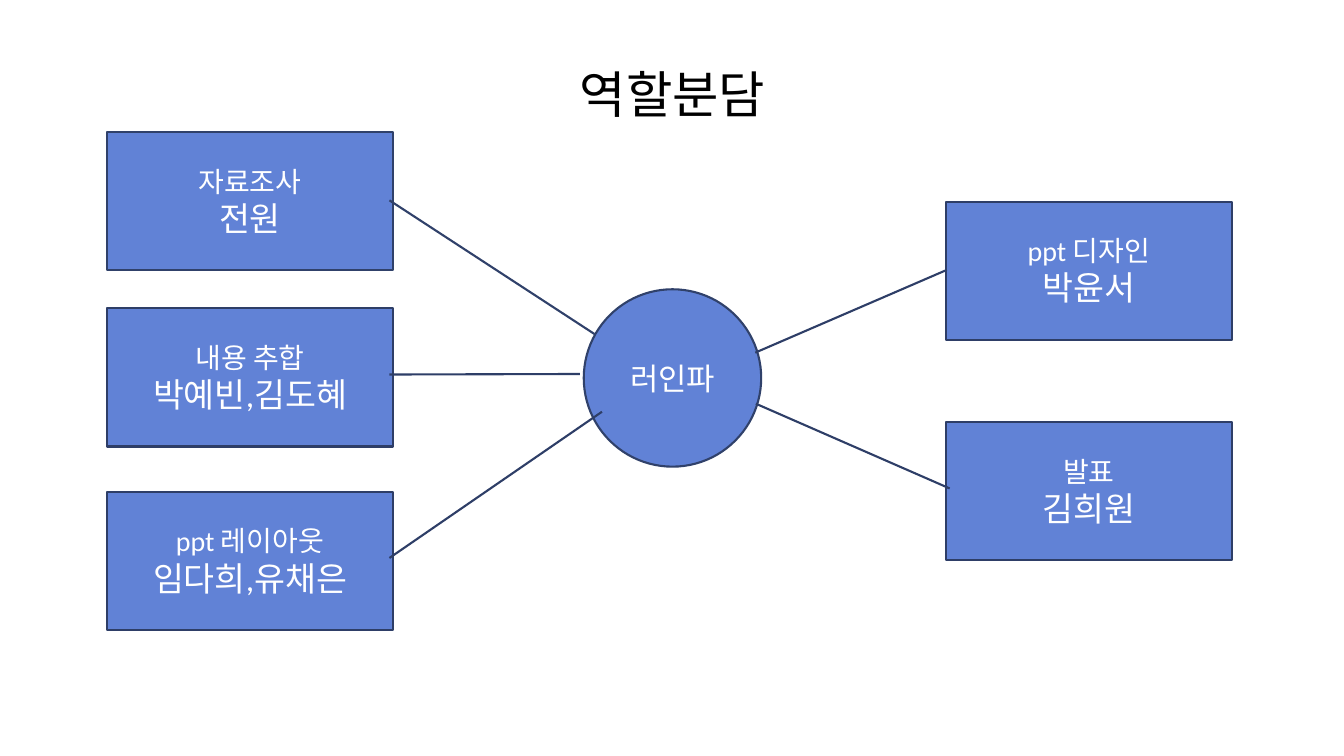
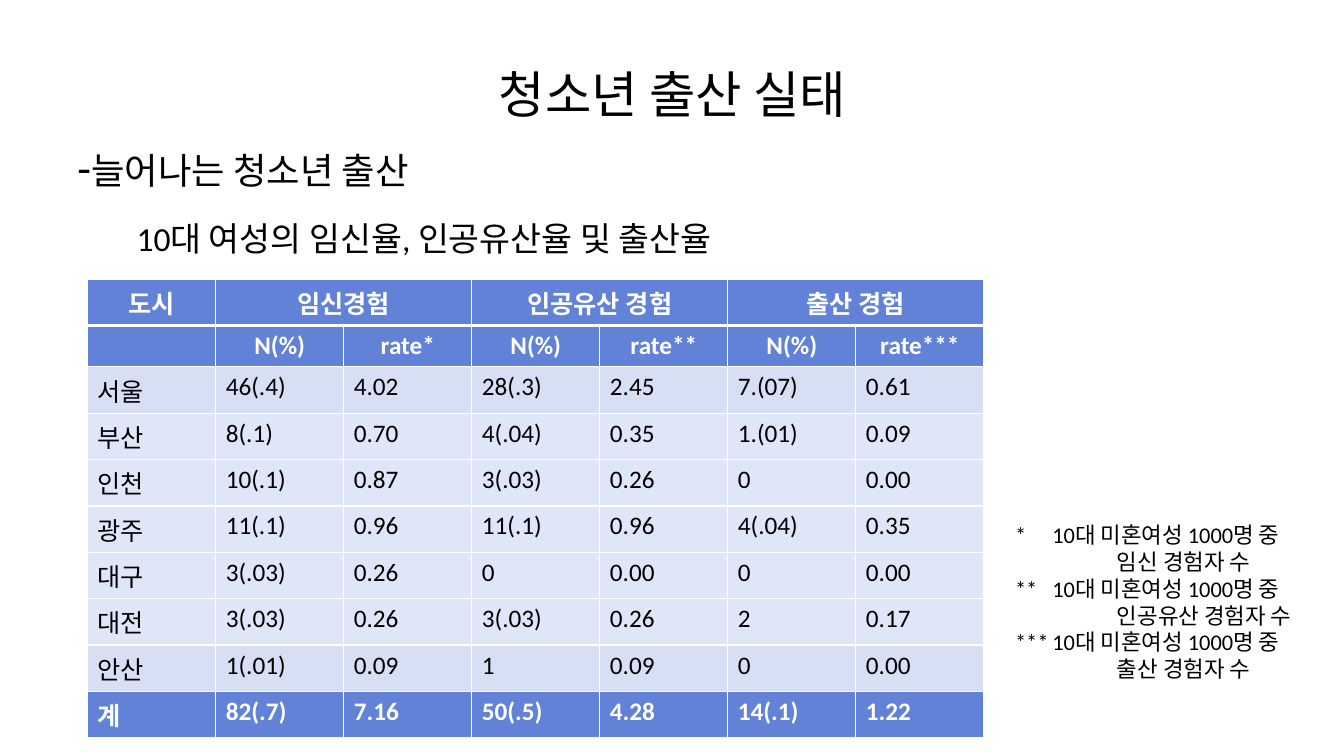
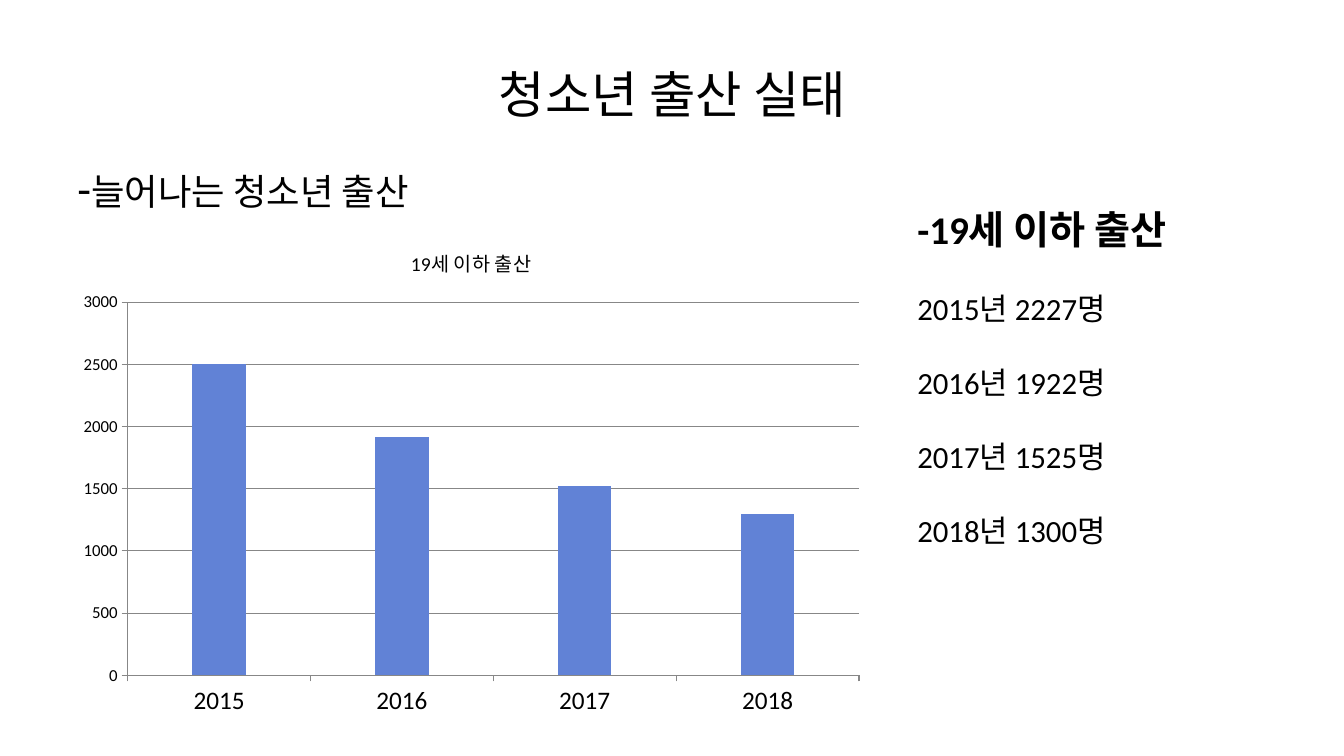
from lxml import etree
from pptx import Presentation
from pptx.chart.data import CategoryChartData
from pptx.dml.color import RGBColor
from pptx.enum.chart import XL_CHART_TYPE, XL_TICK_MARK
from pptx.enum.shapes import MSO_SHAPE
from pptx.enum.text import MSO_ANCHOR, PP_ALIGN
from pptx.oxml.ns import qn
from pptx.util import Inches, Pt

LEFT, CENTER = PP_ALIGN.LEFT, PP_ALIGN.CENTER
TOP, MIDDLE = MSO_ANCHOR.TOP, MSO_ANCHOR.MIDDLE
CALLOUT, CIRCLE = MSO_SHAPE.LINE_CALLOUT_1, MSO_SHAPE.OVAL
COLUMNS = XL_CHART_TYPE.COLUMN_CLUSTERED
OUTSIDE = XL_TICK_MARK.OUTSIDE

FONT = "Calibri"
COLORS = {
    "text": "000000", "white": "FFFFFF", "blue": "6182D6", "circle_line": "30416A",
    "box_line": "2E3E67", "band": "D7DFF4", "plain": "DFE6F7", "grid": "878787",
}

ROLES_TITLE = "역할분담"
BIRTHS_TITLE = "청소년 출산 실태"
SUBHEAD = [("-", 32), ("늘어나는 청소년 출산", 26)]

TEAM = "러인파"
BOX_SIZE = (2.84, 1.37)
LEFT_X, RIGHT_X = 1.06, 9.38
ROLES = [
    ("자료조사", "전원", LEFT_X, 1.31, "circle_line", (0.495, 0.987, 1.463, 1.703)),
    ("내용 추합", "박예빈,김도혜", LEFT_X, 3.06, "box_line", (0.479, 0.987, 0.475, 1.652)),
    ("ppt 레이아웃", "임다희,유채은", LEFT_X, 4.88, "box_line", (0.479, 0.987, -0.58, 1.729)),
    ("ppt 디자인", "박윤서", RIGHT_X, 2, "box_line", (0.495, 0.004, 1.094, -0.665)),
    ("발표", "김희원", RIGHT_X, 4.19, "box_line", (0.479, 0.014, -0.135, -0.663)),
]

TABLE_CAPTION = "10대 여성의 임신율, 인공유산율 및 출산율"
CITY_ROWS = [
    ("도시", "임신경험", "", "인공유산 경험", "", "출산 경험", ""),
    ("", "N(%)", "rate*", "N(%)", "rate**", "N(%)", "rate***"),
    ("서울", "46(.4)", "4.02", "28(.3)", "2.45", "7.(07)", "0.61"),
    ("부산", "8(.1)", "0.70", "4(.04)", "0.35", "1.(01)", "0.09"),
    ("인천", "10(.1)", "0.87", "3(.03)", "0.26", "0", "0.00"),
    ("광주", "11(.1)", "0.96", "11(.1)", "0.96", "4(.04)", "0.35"),
    ("대구", "3(.03)", "0.26", "0", "0.00", "0", "0.00"),
    ("대전", "3(.03)", "0.26", "3(.03)", "0.26", "2", "0.17"),
    ("안산", "1(.01)", "0.09", "1", "0.09", "0", "0.00"),
    ("계", "82(.7)", "7.16", "50(.5)", "4.28", "14(.1)", "1.22"),
]
BANDED_CITIES = ("서울", "안산")
RATE_GROUP = "10대 미혼여성 1000명 중"
RATE_NOTES = [("*", "임신 경험자 수"), ("**", "인공유산 경험자 수"), ("***", "출산 경험자 수")]

CHART_TITLE = "19세 이하 출산"
CHART_VALUES = {"2015": 2500, "2016": 1920, "2017": 1520, "2018": 1300}
COUNTS_HEAD = "-19세 이하 출산"
COUNTS = ["2015년 2227명", "2016년 1922명", "2017년 1525명", "2018년 1300명"]


def rgb(name):
    return RGBColor.from_string(COLORS[name])


def style_font(font, size, color="text", bold=False):
    font.name, font.size, font.bold = FONT, Pt(size), bold
    font.color.rgb = rgb(color)


def write(frame, paragraphs, align=LEFT, color="text", bold=False):
    written = []
    for i, runs in enumerate(paragraphs):
        paragraph = frame.add_paragraph() if i else frame.paragraphs[0]
        paragraph.alignment = align
        for text, size in runs:
            run = paragraph.add_run()
            run.text = text
            style_font(run.font, size, color, bold)
        written.append(paragraph)
    return written


def add_text(slide, at, paragraphs, align=LEFT, anchor=TOP):
    frame = slide.shapes.add_textbox(*map(Inches, at)).text_frame
    frame.word_wrap = True
    frame.vertical_anchor = anchor
    return write(frame, paragraphs, align)


def add_slide(deck, title):
    slide = deck.slides.add_slide(deck.slide_layouts[6])
    add_text(slide, (0.67, 0.3, 12, 1.25), [[(title, 36)]], CENTER, MIDDLE)
    return slide


def add_node(slide, preset, at, paragraphs, outline, pointer=()):
    node = slide.shapes.add_shape(preset, *map(Inches, at))
    node.shadow.inherit = False
    node.fill.solid()
    node.fill.fore_color.rgb = rgb("blue")
    node.line.color.rgb = rgb(outline)
    node.line.width = Pt(1.5)
    for i, value in enumerate(pointer):
        node.adjustments[i] = value
    node.text_frame.word_wrap = True
    node.text_frame.vertical_anchor = MIDDLE
    write(node.text_frame, paragraphs, CENTER, "white")


def set_borders(cell, widths):
    properties = cell._tc.get_or_add_tcPr()
    for side, width in zip(("lnL", "lnR", "lnT", "lnB"), widths):
        line = etree.SubElement(properties, qn(f"a:{side}"), w=str(Pt(width)))
        fill = etree.SubElement(line, qn("a:solidFill"))
        etree.SubElement(fill, qn("a:srgbClr"), val=COLORS["white"])


def add_city_table(slide):
    row_count, column_count = len(CITY_ROWS), len(CITY_ROWS[0])
    table = slide.shapes.add_table(
        row_count, column_count, Inches(0.87), Inches(2.77), Inches(8.89), Inches(4.55)).table
    for column in table.columns:
        column.width = Inches(1.27)
    for r, values in enumerate(CITY_ROWS):
        table.rows[r].height = Inches(0.41 if r == 1 else 0.46)
        heading = r < 2
        strong = heading or r == row_count - 1
        fill = "blue" if strong else "band" if values[0] in BANDED_CITIES else "plain"
        for c, value in enumerate(values):
            cell = table.cell(r, c)
            set_borders(cell, (1, 1, 3 if r == 1 else 1, 3 if r == 0 else 1))
            cell.fill.solid()
            cell.fill.fore_color.rgb = rgb(fill)
            if value:
                write(cell.text_frame, [[(value, 18)]], CENTER if heading else LEFT,
                      "white" if strong else "text", strong)
    for c in range(1, column_count, 2):
        table.cell(0, c).merge(table.cell(0, c + 1))


def add_rate_notes(slide):
    lines = []
    for mark, meaning in RATE_NOTES:
        lines += [[(f"{mark}\t{RATE_GROUP}", 16)], [(meaning, 16)]]
    for i, paragraph in enumerate(add_text(slide, (9.97, 5.12, 3.2, 1.7), lines)):
        margin, indent = (1.01, 0) if i % 2 else (0.37, -0.37)
        properties = paragraph._p.get_or_add_pPr()
        properties.set("marL", str(Inches(margin)))
        properties.set("indent", str(Inches(indent)))


def add_birth_chart(slide):
    data = CategoryChartData()
    data.categories = list(CHART_VALUES)
    data.add_series(CHART_TITLE, list(CHART_VALUES.values()))
    chart = slide.shapes.add_chart(
        COLUMNS, *map(Inches, (0.67, 2.25, 8.01, 4.95)), data).chart
    style_font(chart.font, 12)
    chart.has_legend = False
    chart.has_title = True
    write(chart.chart_title.text_frame, [[(CHART_TITLE, 14)]], CENTER)
    chart.chart_title.include_in_layout = False

    plot = chart.plots[0]
    plot.gap_width = 242
    plot.vary_by_categories = False
    births = plot.series[0]
    births.format.fill.solid()
    births.format.fill.fore_color.rgb = rgb("blue")

    years, counts = chart.category_axis, chart.value_axis
    for axis, size in ((years, 18), (counts, 12)):
        axis.major_tick_mark = OUTSIDE
        axis.format.line.color.rgb = rgb("grid")
        style_font(axis.tick_labels.font, size)
    counts.minimum_scale, counts.maximum_scale, counts.major_unit = 0, 3000, 500
    counts.has_major_gridlines = True
    counts.major_gridlines.format.line.color.rgb = rgb("grid")


def build_roles(deck):
    slide = add_slide(deck, ROLES_TITLE)
    add_node(slide, CIRCLE, (5.79, 2.87, 1.76, 1.76), [[(TEAM, 22)]], "circle_line")
    for task, people, x, y, outline, pointer in ROLES:
        add_node(slide, CALLOUT, (x, y, *BOX_SIZE), [[(task, 20)], [(people, 24)]],
                 outline, pointer)


def build_city_rates(deck):
    slide = add_slide(deck, BIRTHS_TITLE)
    add_city_table(slide)
    add_text(slide, (0.67, 1.34, 12, 0.7), [SUBHEAD])
    add_rate_notes(slide)
    add_text(slide, (0.87, 2.11, 6.67, 0.5), [[(TABLE_CAPTION, 24)]], CENTER)


def build_yearly_births(deck):
    slide = add_slide(deck, BIRTHS_TITLE)
    add_birth_chart(slide)
    lines = [[(COUNTS_HEAD, 28)]] + [[(count, 22)] for count in COUNTS]
    head, *counts = add_text(slide, (9, 1.99, 3.67, 4.16), lines)
    head.runs[0].font.bold = True
    for count in counts:
        count.space_before = Pt(26.5)
    add_text(slide, (0.67, 1.55, 12, 0.7), [SUBHEAD])


def main():
    deck = Presentation()
    deck.slide_width, deck.slide_height = Inches(13.33), Inches(7.5)
    build_roles(deck)
    build_city_rates(deck)
    build_yearly_births(deck)
    deck.save("out.pptx")


if __name__ == "__main__":
    main()
